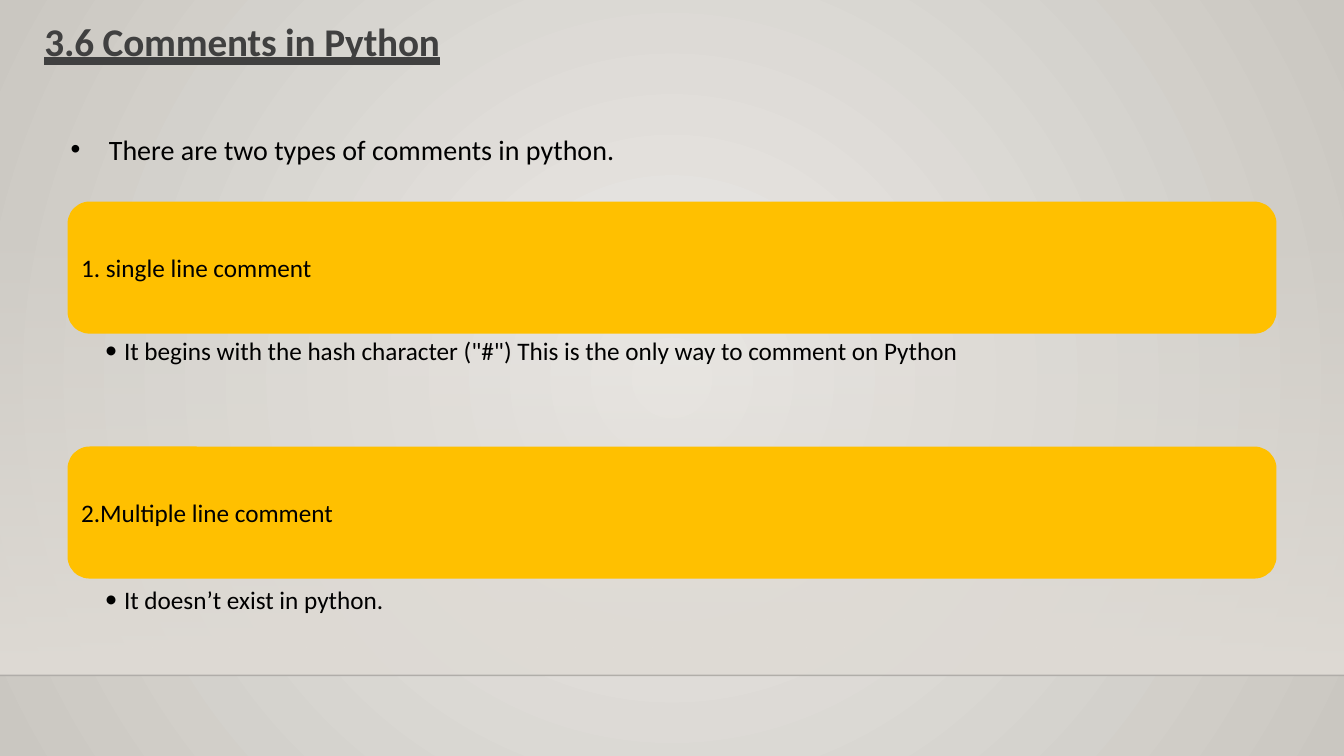
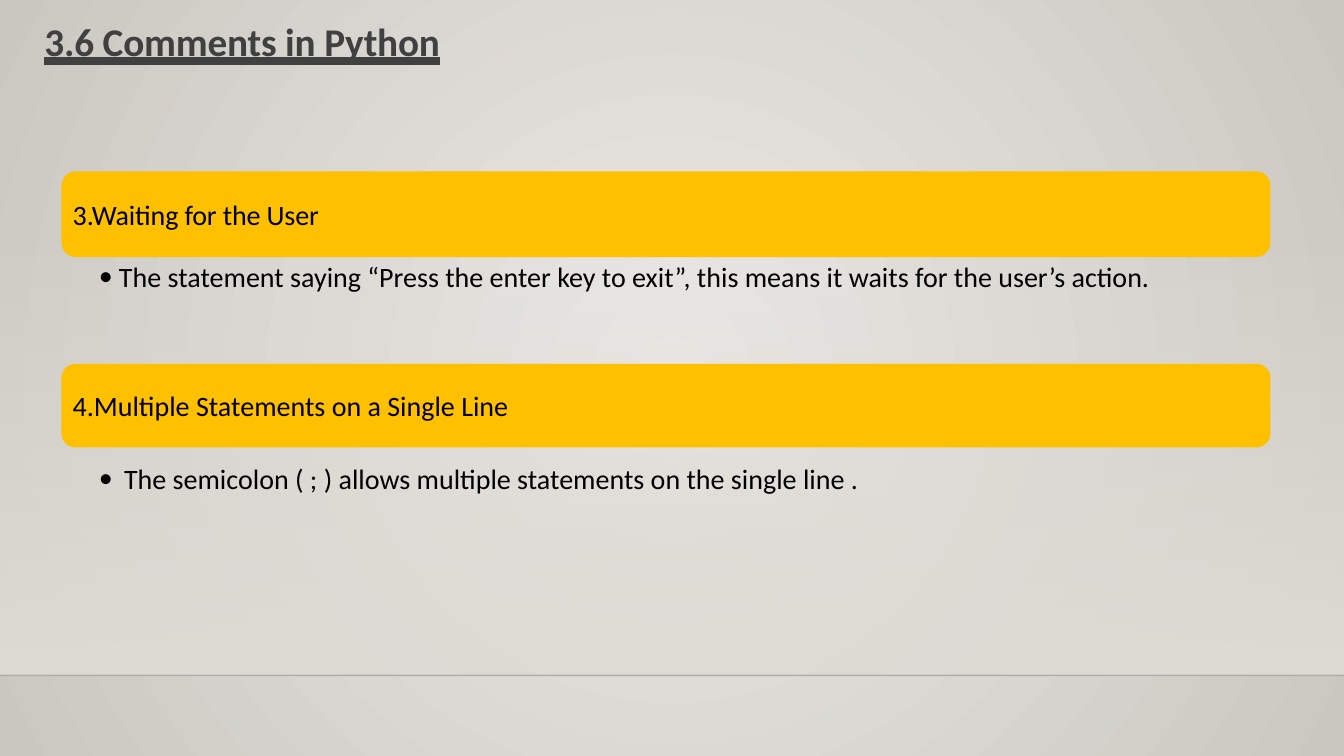
from dataclasses import dataclass

from lxml import etree
from pptx import Presentation
from pptx.dml.color import RGBColor
from pptx.enum.shapes import MSO_CONNECTOR, MSO_SHAPE
from pptx.enum.text import MSO_ANCHOR, MSO_AUTO_SIZE, MSO_UNDERLINE, PP_ALIGN
from pptx.oxml.ns import qn
from pptx.util import Inches, Pt

RECT = MSO_SHAPE.RECTANGLE
ROUND = MSO_SHAPE.ROUNDED_RECTANGLE
LINE = MSO_CONNECTOR.STRAIGHT
LEFT = PP_ALIGN.LEFT
TOP, MIDDLE = MSO_ANCHOR.TOP, MSO_ANCHOR.MIDDLE
FIXED = MSO_AUTO_SIZE.NONE
HEAVY = MSO_UNDERLINE.HEAVY_LINE

COLORS = {
    "glow": "ECEAE7",
    "edge": "CAC7C1",
    "band": "DFDBD5",
    "rule": "000001",
    "bar": "FFC000",
    "title": "404040",
    "text": "000000",
}
FONT = "Calibri"
WIDE, HIGH = 13.33, 7.5
FLOOR = 6.7
TITLE = "3.6 Comments in Python"
BAR_WIDE = 11.99
LIST_RIGHT = 12.6
COMPARE = 4  # the layout with a title and four body placeholders


@dataclass
class Bar:
    text: str
    top: float
    high: float
    tight: bool = False


@dataclass
class Point:
    """A list line: its top, and where its bullet and its text begin."""
    text: str
    top: float
    mark: float
    left: float
    size: int
    face: str = FONT


@dataclass
class Page:
    left: float
    size: int
    bars: list[Bar]
    points: list[Point]


PAGES = [
    Page(0.67, 18, [
        Bar("1. single line comment", 2, 1.31),
        Bar("2.Multiple line comment", 4.43, 1.31),
    ], [
        Point("There are two types of comments in python.",
              1.35, 0.7, 1.08, 20, "Arial"),
        Point('It begins with the hash character ("#") This is the only way '
              "to comment on Python", 3.36, 1.04, 1.23, 18),
        Point("It doesn’t exist in python.", 5.83, 1.04, 1.23, 18),
    ]),
    Page(0.61, 20, [
        Bar("3.Waiting for the User", 1.7, 0.85, True),
        Bar("4.Multiple Statements on a Single Line", 3.61, 0.83),
    ], [
        Point("The statement saying “Press the enter key to exit”, this means "
              "it waits for the user’s action.", 2.61, 0.98, 1.18, 20),
        Point("The semicolon ( ; ) allows multiple statements on the single "
              "line .", 4.62, 0.98, 1.23, 20),
    ]),
]


def tint(name: str) -> RGBColor:
    return RGBColor.from_string(COLORS[name])


def blend(fill, first: str, last: str) -> None:
    fill.gradient()
    for stop, name in zip(fill.gradient_stops, (first, last)):
        stop.color.rgb = tint(name)


def fade(node, share: int) -> None:
    """Set the opacity, in percent, of the first colour in node."""
    color = next(node.iter(qn("a:srgbClr")))
    etree.SubElement(color, qn("a:alpha"), val=str(share * 1000))


def style(para, size: int, color: str, tight: bool = False) -> None:
    font = para.font
    font.name, font.size, font.bold = FONT, Pt(size), False
    font.color.rgb = tint(color)
    para.alignment = LEFT
    if tight:
        next(para._p.iter(qn("a:defRPr"))).set("spc", "-10")


def place(shape, left: float, top: float, wide: float, high: float) -> None:
    """Set the box of a placeholder and clear its insets."""
    shape.left, shape.top = Inches(left), Inches(top)
    shape.width, shape.height = Inches(wide), Inches(high)
    frame = shape.text_frame
    frame.margin_left = frame.margin_right = 0
    frame.margin_top = frame.margin_bottom = 0
    frame.vertical_anchor, frame.auto_size = TOP, FIXED
    frame.word_wrap = True


def set_master(master, slide) -> None:
    """Give the master its glow, band and rule, drawn by way of a slide."""
    blend(master.background.fill, "glow", "edge")
    grad = next(master.element.iter(qn("a:gradFill")))
    grad.remove(grad.find(qn("a:lin")))
    round_path = etree.SubElement(grad, qn("a:path"), path="circle")
    etree.SubElement(round_path, qn("a:fillToRect"),
                     l="50000", t="50000", r="50000", b="50000")

    band = slide.shapes.add_shape(
        RECT, 0, Inches(2.21), Inches(WIDE), Inches(FLOOR - 2.21))
    band.shadow.inherit = False
    band.line.fill.background()
    blend(band.fill, "band", "band")
    band.fill.gradient_angle = 270
    fade(band.element.spPr, 0)

    rule = slide.shapes.add_connector(
        LINE, 0, Inches(FLOOR), Inches(WIDE), Inches(FLOOR))
    rule.line.width = Pt(1)
    rule.line.color.rgb = tint("rule")
    fade(rule.element.spPr, 20)
    etree.SubElement(rule.element.spPr, qn("a:effectLst"))

    for step, part in enumerate((band, rule)):
        next(part.element.iter(qn("p:cNvPr"))).set("id", str(20 + step))
        master.shapes.element.insert(2 + step, part.element)


def add_title(slide) -> None:
    title = slide.shapes.title
    place(title, 0.44, 0.24, 6, 0.45)
    para = title.text_frame.paragraphs[0]
    para.text = TITLE
    style(para, 28, "title", True)
    para.font.bold, para.font.underline = True, HEAVY
    para.line_spacing = Pt(28.9)


def add_bar(slide, page: Page, bar: Bar) -> None:
    shape = slide.shapes.add_shape(
        ROUND, Inches(page.left), Inches(bar.top),
        Inches(BAR_WIDE), Inches(bar.high))
    shape.shadow.inherit = False
    shape.fill.solid()
    shape.fill.fore_color.rgb = tint("bar")
    shape.line.fill.background()
    frame = shape.text_frame
    frame.margin_left, frame.vertical_anchor = Inches(0.07), MIDDLE
    para = frame.paragraphs[0]
    para.text = bar.text
    style(para, page.size, "text", bar.tight)


def fill_body(body, point: Point) -> None:
    place(body, point.mark, point.top, LIST_RIGHT - point.mark, 0.35)
    para = body.text_frame.paragraphs[0]
    para.text = point.text
    hang = Inches(point.left - point.mark)
    props = para._p.get_or_add_pPr()
    props.set("marL", str(hang))
    props.set("indent", str(-hang))
    etree.SubElement(props, qn("a:buFont"), typeface=point.face)
    etree.SubElement(props, qn("a:buChar"), char="•")
    style(para, point.size, "text")
    para.line_spacing = Pt(point.size * 1.055)
    para.space_before = Pt(0)


def add_points(slide, points: list[Point]) -> None:
    """Give each line a body placeholder and drop those left over."""
    bodies = list(slide.placeholders)[1:]
    for body, point in zip(bodies, points):
        fill_body(body, point)
    for body in bodies[len(points):]:
        slide.shapes.element.remove(body.element)


def main() -> None:
    deck = Presentation()
    deck.slide_width, deck.slide_height = Inches(WIDE), Inches(HIGH)
    for page in PAGES:
        slide = deck.slides.add_slide(deck.slide_layouts[COMPARE])
        if page is PAGES[0]:
            set_master(deck.slide_master, slide)
        add_title(slide)
        for bar in page.bars:
            add_bar(slide, page, bar)
        add_points(slide, page.points)
    deck.save("out.pptx")


if __name__ == "__main__":
    main()
